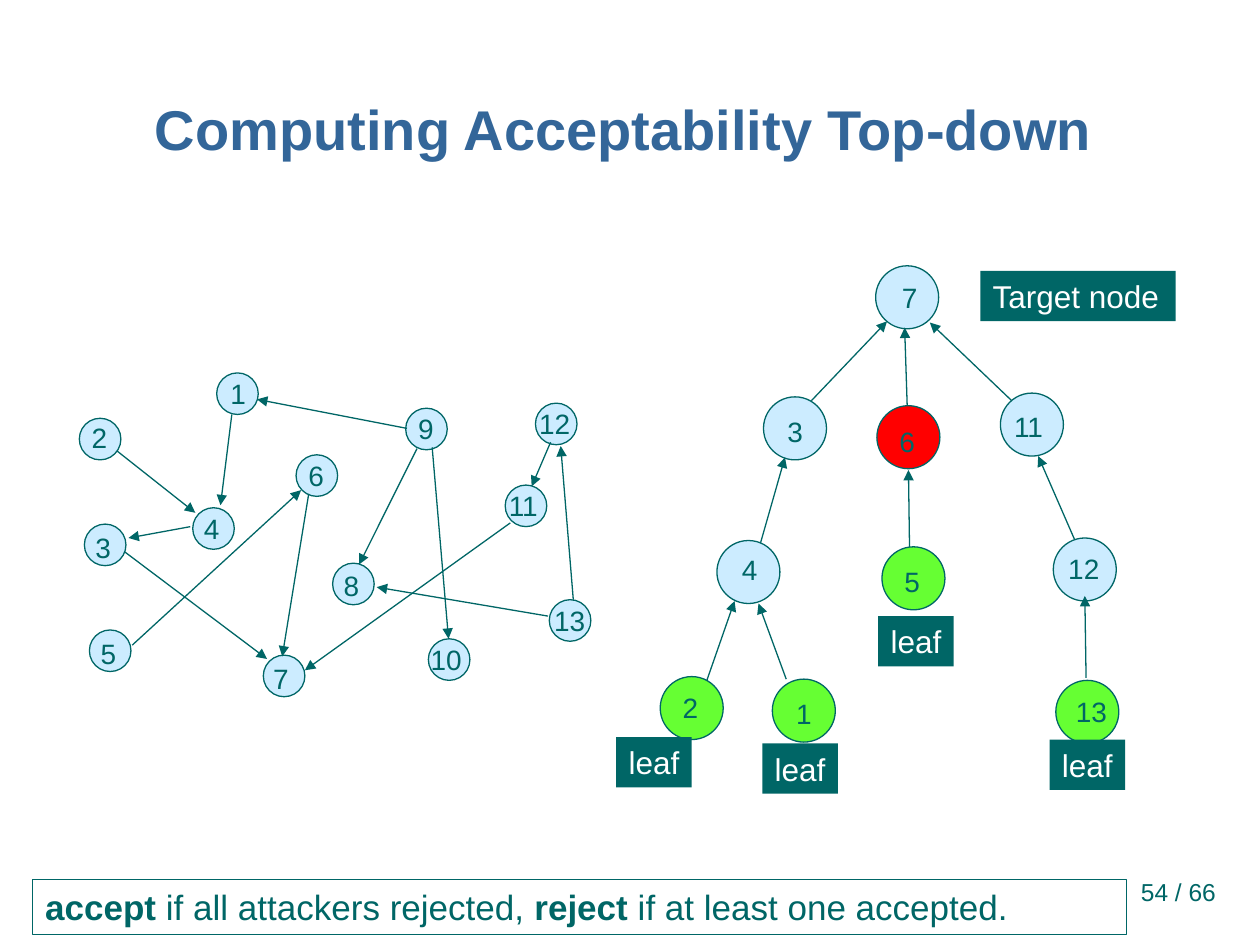
"""Build the slide on computing acceptability top-down in an attack graph."""
from lxml.etree import SubElement
from pptx import Presentation
from pptx.dml.color import RGBColor
from pptx.enum.shapes import MSO_CONNECTOR as CONN, MSO_SHAPE as SHAPE
from pptx.enum.text import MSO_ANCHOR as ANCHOR, MSO_AUTO_SIZE as AUTO, PP_ALIGN as ALIGN
from pptx.oxml.ns import qn
from pptx.util import Inches, Pt

TEAL, BLUE, PALE, RED, GREEN, WHITE = "006666", "336699", "CCECFF", "FF0000", "66FF33", "FFFFFF"
rgb = RGBColor.from_string

prs = Presentation()
prs.slide_width, prs.slide_height = Inches(10), Inches(7.5)
shapes = prs.slides.add_slide(prs.slide_layouts[6]).shapes


def add_shape(kind, box, fill=None, line=None):
    s = shapes.add_shape(kind, *map(Inches, box))
    s.shadow.inherit = False
    for fmt, color in ((s.fill, fill), (s.line.fill, line)):
        if color:
            fmt.solid()
            fmt.fore_color.rgb = rgb(color)
        else:
            fmt.background()
    if line:
        s.line.width = Pt(0.75)
    return s


def add_text(s, runs, size, color=TEAL, align=ALIGN.LEFT, **frame):
    tf = s.text_frame
    values = {"word_wrap": False, "auto_size": AUTO.SHAPE_TO_FIT_TEXT, "vertical_anchor": ANCHOR.TOP}
    for name, value in {**values, **frame}.items():
        setattr(tf, name, value)
    p = tf.paragraphs[0]
    p.alignment = align
    for text, bold in runs:
        r = p.add_run()
        r.text = text
        for name, value in {"name": "Arial", "size": Pt(size), "bold": bold}.items():
            setattr(r.font, name, value)
        r.font.color.rgb = rgb(color)
    return p


middle = {"auto_size": AUTO.NONE, "vertical_anchor": ANCHOR.MIDDLE}
s = shapes.add_textbox(*map(Inches, (8.45, 6.83, 1.3, 0.5)))
add_text(s, [("54 / 66", False)], 14, align=ALIGN.RIGHT, **middle)
s = shapes.add_textbox(*map(Inches, (0.41, 0.46, 9.08, 1.25)))
p = add_text(s, [("Computing Acceptability Top-down", True)], 32, BLUE, ALIGN.CENTER,
             word_wrap=True, **middle)
p.line_spacing = 0.7

graph_nodes = [
    ("1", 1.72, 2.96, 1.73, 2.94, PALE), ("2", 0.63, 3.32, 0.63, 3.29, PALE),
    ("3", 0.67, 4.16, 0.66, 4.16, PALE), ("4", 1.53, 4.03, 1.52, 4.01, PALE),
    ("5", 0.71, 5, 0.7, 5, PALE), ("6", 2.35, 3.61, 2.35, 3.59, PALE),
    ("7", 2.09, 5.2, 2.07, 5.2, PALE), ("8", 2.64, 4.47, 2.63, 4.46, PALE),
    ("9", 3.22, 3.24, 3.22, 3.22, PALE), ("10", 3.4, 5.07, 3.32, 5.05, PALE),
    ("11", 4.01, 3.85, 3.94, 3.83, PALE), ("12", 4.25, 3.2, 4.18, 3.18, PALE),
    ("13", 4.36, 4.76, 4.3, 4.74, PALE),
]
graph_arrows = [
    (0.93, 3.58, 1.55, 4.07), (1.84, 3.29, 1.75, 4.01), (2.45, 3.92, 2.24, 5.21),
    (0.99, 4.38, 2.12, 5.23), (1.51, 4.18, 1.02, 4.27), (3.31, 3.56, 2.85, 4.48),
    (4.37, 3.51, 4.22, 3.86), (4.35, 4.89, 2.99, 4.66), (4.55, 4.76, 4.45, 3.54),
    (3.43, 3.55, 3.56, 5.07), (4.05, 4.15, 2.42, 5.32), (1.05, 5.12, 2.39, 3.89),
    (3.23, 3.4, 2.04, 3.17),
]
layers = [
    (0.33, [], graph_nodes),
    (0.33, graph_arrows, []),
    (0.5, [], [("7", 6.95, 2.11, 7.06, 2.18, PALE)]),
    (0.5, [(6.44, 3.18, 7.04, 2.55), (7.2, 3.22, 7.18, 2.6), (8.04, 3.19, 7.38, 2.56)],
     [("3", 6.06, 3.15, 6.15, 3.24, PALE), ("6", 6.96, 3.22, 7.04, 3.32, RED),
      ("11", 7.94, 3.12, 7.95, 3.2, PALE)]),
    (0.5, [(6.01, 4.4, 6.23, 3.63), (7.22, 4.43, 7.21, 3.73), (8.58, 4.4, 8.24, 3.62)],
     [("4", 5.69, 4.29, 5.79, 4.34, PALE), ("5", 7, 4.34, 7.08, 4.43, GREEN),
      ("12", 8.36, 4.27, 8.38, 4.33, PALE)]),
    (0.5, [(5.61, 5.4, 5.83, 4.77), (6.24, 5.39, 6.02, 4.79), (8.62, 5.38, 8.61, 4.73)],
     [("2", 5.24, 5.37, 5.32, 5.43, GREEN), ("1", 6.13, 5.39, 6.22, 5.48, GREEN),
      ("13", 8.38, 5.4, 8.44, 5.46, GREEN)]),
]
for diameter, arrows, nodes in layers:
    for ends in arrows:
        s = shapes.add_connector(CONN.STRAIGHT, *map(Inches, ends))
        s.line.color.rgb = rgb(TEAL)
        s.line.width = Pt(0.75)
        SubElement(s.line._get_or_add_ln(), qn("a:tailEnd"), type="triangle")
        SubElement(s._element.spPr, qn("a:effectLst"))
    for number, x, y, text_x, text_y, fill in nodes:
        add_shape(SHAPE.OVAL, (x, y, diameter, diameter), fill, TEAL)
        width = 0.2 + 0.13 * len(number)
        s = shapes.add_textbox(*map(Inches, (text_x, text_y, width, 0.37)))
        add_text(s, [(number, False)], 16)

tags = [("Target node", 7.78, 2.15, 1.55), ("leaf", 6.97, 4.89, 0.6), ("leaf", 4.89, 5.85, 0.6),
        ("leaf", 6.05, 5.9, 0.6), ("leaf", 8.33, 5.87, 0.6)]
for text, x, y, width in tags:
    s = add_shape(SHAPE.RECTANGLE, (x, y, width, 0.4), TEAL)
    add_text(s, [(text, False)], 18, WHITE)

s = add_shape(SHAPE.RECTANGLE, (0.26, 6.98, 8.68, 0.44), line=TEAL)
add_text(s, [("accept", True), (" if all attackers rejected, ", False), ("reject ", True),
             ("if at least one accepted.", False)], 20, word_wrap=True)

prs.save("out.pptx")
